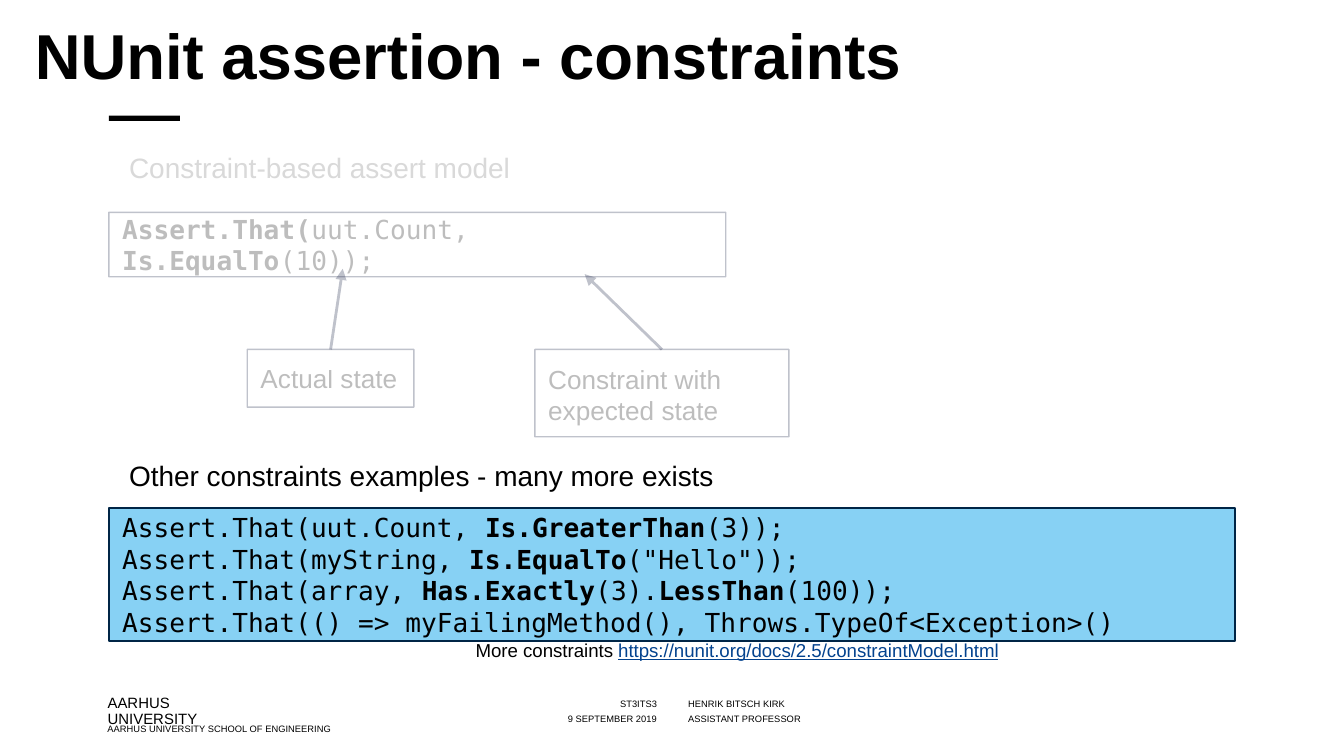
from pptx import Presentation
from pptx import util as u
from pptx.dml.color import RGBColor
from pptx.enum import shapes, text
from pptx.oxml.ns import qn
from lxml import etree

PX = 9144  # EMU per px, 100 px to the inch
BLACK = RGBColor(0x00, 0x00, 0x00)
WHITE = RGBColor(0xFF, 0xFF, 0xFF)
GREY = RGBColor(0xD9, 0xD9, 0xD9)
NAVY = RGBColor(0x0A, 0x14, 0x39)
SKY = RGBColor(0x87, 0xD1, 0xF4)
EDGE = RGBColor(0x00, 0x25, 0x46)
LINK = RGBColor(0x03, 0x42, 0x8E)
SANS, MONO = "Arial", "DejaVu Sans Mono"

deck = Presentation()
deck.slide_width = 1000 * PX
deck.slide_height = deck.slide_width * 9 // 16
page = deck.slides.add_slide(deck.slide_layouts[6])


def add_text(content, at, size, font=SANS, color=BLACK, bold=False, emphasis="bold",
             align=text.PP_ALIGN.LEFT, anchor=text.MSO_ANCHOR.TOP, spacing=1.0,
             inset=(0, 0, 0, 0), fill=None, line=None):
    """Place text; parts between ** get the emphasis, \\v breaks a line."""
    place = [n * PX for n in at]
    if fill is None:
        box = page.shapes.add_textbox(*place)
    else:
        box = page.shapes.add_shape(shapes.MSO_SHAPE.RECTANGLE, *place)
        box.shadow.inherit = False
        box.fill.solid()
        box.fill.fore_color.rgb = fill
        box.line.color.rgb = line
        box.line.width = u.Pt(0.75)
    frame = box.text_frame
    frame.word_wrap = True
    frame.vertical_anchor = anchor
    (frame.margin_left, frame.margin_top,
     frame.margin_right, frame.margin_bottom) = [n * PX for n in inset]
    for row, row_text in enumerate(content.split("\n")):
        para = frame.add_paragraph() if row else frame.paragraphs[0]
        para.alignment = align
        para.line_spacing = spacing
        for index, part in enumerate(row_text.split("**")):
            for number, piece in enumerate(part.split("\v")):
                if number:
                    para.add_line_break()
                if not piece:
                    continue
                span = para.add_run()
                span.text = piece
                span.font.name, span.font.size = font, u.Pt(size)
                span.font.color.rgb = color
                span.font.bold = bold
                if index % 2:
                    setattr(span.font, emphasis, True)
    return box


def fade(shape):
    """Make the black text and navy lines of a shape see-through."""
    for color in shape.element.iter(qn("a:srgbClr")):
        if color.get("val") in (str(BLACK), str(NAVY)):
            etree.SubElement(color, qn("a:alpha")).set("val", "26000")


# Footer: left edge, width, height, alignment; the text sits at the bottom
for words, left, width, height, align in (
    ("ST3ITS3", 303, 186, 37, text.PP_ALIGN.RIGHT),
    ("HENRIK BITSCH KIRK", 512, 245, 37, text.PP_ALIGN.LEFT),
    ("9 SEPTEMBER 2019", 303, 186, 48, text.PP_ALIGN.RIGHT),
    ("ASSISTANT PROFESSOR", 512, 245, 48, text.PP_ALIGN.LEFT),
    ("AARHUS UNIVERSITY SCHOOL OF ENGINEERING", 80, 193, 56, text.PP_ALIGN.LEFT),
):
    add_text(words, (left, 492, width, height), 5, align=align, spacing=0.95,
             anchor=text.MSO_ANCHOR.BOTTOM, inset=(0, 0, 0, 1))
add_text("AARHUS\vUNIVERSITY", (80, 493, 91, 37), 8, spacing=0.9, inset=(0, 25, 0, 0))

# White content area and the short bar under the title
for at, color in (((0, 0, 1000, 483), WHITE), ((81, 86, 53, 4), BLACK)):
    panel = page.shapes.add_shape(shapes.MSO_SHAPE.RECTANGLE, *[n * PX for n in at])
    panel.shadow.inherit = False
    panel.fill.solid()
    panel.fill.fore_color.rgb = color
    panel.line.fill.background()

# Title and the two headings
add_text("NUnit assertion - constraints", (26, 19, 948, 62), 34, bold=True, spacing=0.89)
for words, top, color in (
    ("Constraint-based assert model", 113, GREY),
    ("Other constraints examples - many more exists", 342, BLACK),
):
    add_text(words, (81, top, 838, 39), 15, color=color, spacing=0.99, inset=(15, 0, 0, 0))

# Link line
more = add_text("More constraints **https://nunit.org/docs/2.5/constraintModel.html**",
                (344, 467, 575, 37), 10, emphasis="underline", inset=(10,) * 4)
more.text_frame.paragraphs[0].runs[1].font.color.rgb = LINK

# Code boxes
model = add_text("**Assert.That(**uut.Count, **Is.EqualTo**(10));", (81, 158, 459, 48), 14,
                 font=MONO, anchor=text.MSO_ANCHOR.MIDDLE, inset=(10,) * 4,
                 fill=WHITE, line=NAVY)
fade(model)
add_text('Assert.That(uut.Count, **Is.GreaterThan**(3));\n'
         'Assert.That(myString, **Is.EqualTo**("Hello"));\n'
         'Assert.That(array, **Has.Exactly**(3).**LessThan**(100));\n'
         'Assert.That(() => myFailingMethod(), Throws.TypeOf<Exception>()',
         (81, 378, 838, 99), 14, font=MONO, anchor=text.MSO_ANCHOR.MIDDLE,
         inset=(10,) * 4, fill=SKY, line=EDGE)

# Faded labels, each with an arrow up to the code
for words, at, tip in (
    ("Actual state", (184, 260, 124, 43), (255, 200)),
    ("Constraint with expected state", (398, 260, 189, 65), (435, 204)),
):
    label = add_text(words, at, 14, inset=(10,) * 4, fill=WHITE, line=NAVY)
    arrow = page.shapes.add_connector(shapes.MSO_CONNECTOR.STRAIGHT, 0, 0,
                                      *[n * PX for n in tip])
    arrow.begin_connect(label, 0)
    arrow.line.color.rgb = NAVY
    arrow.line.width = u.Pt(1.5)
    tail = etree.SubElement(arrow.line.fill._xPr, qn("a:tailEnd"))
    tail.set("type", "triangle")
    etree.SubElement(arrow.element.spPr, qn("a:effectLst"))
    fade(label)
    fade(arrow)

deck.save("out.pptx")
